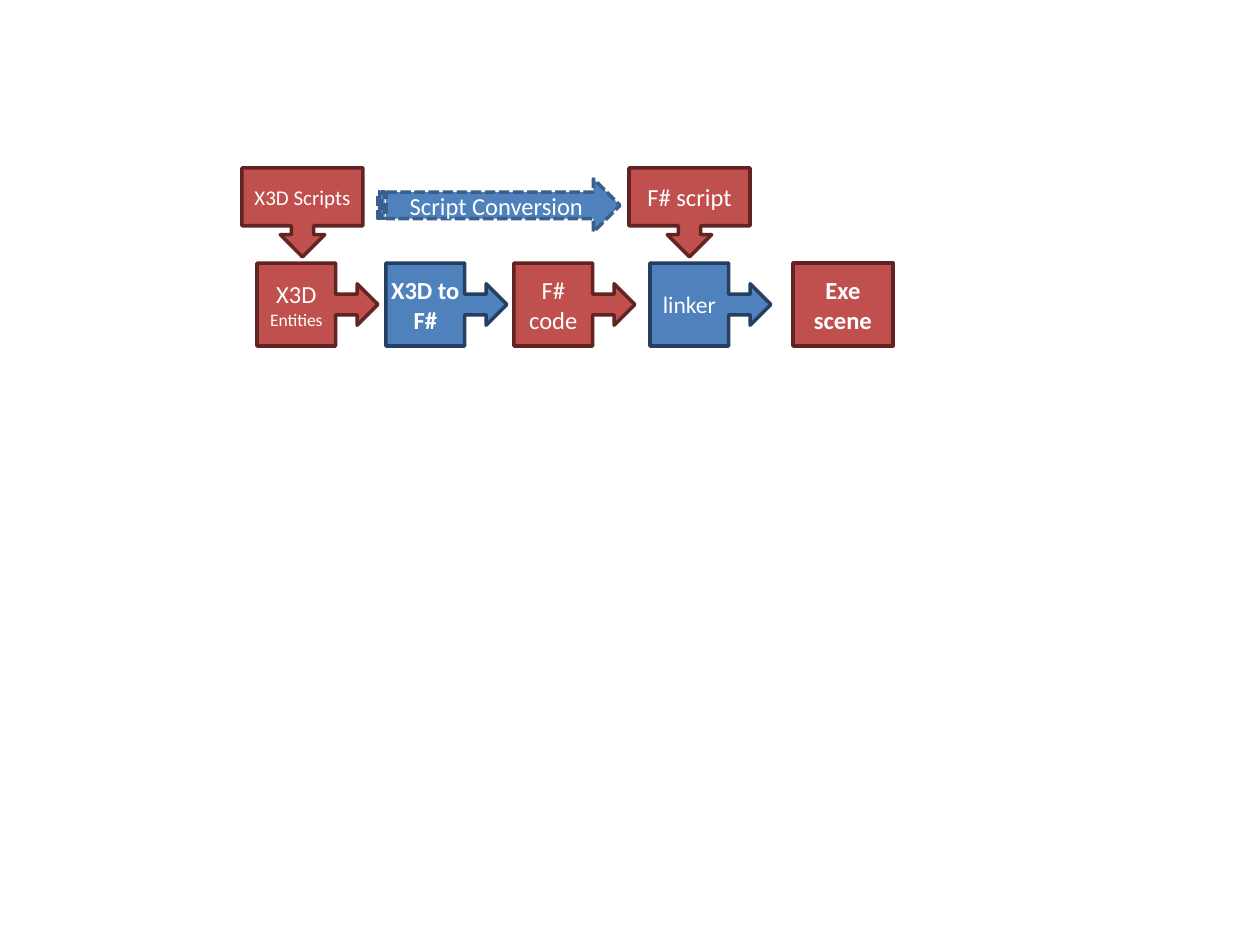
"""Build the slide showing how X3D scenes are compiled through F# to an executable."""
from dataclasses import dataclass

from pptx import Presentation
from pptx import util as u
from pptx.dml.color import RGBColor
from pptx.enum import dml, shapes, text

PX = u.Inches(1) // 126
SHAPE = shapes.MSO_SHAPE


@dataclass(frozen=True)
class Theme:
    font: str = "Calibri"
    text: str = "FFFFFF"
    data: tuple = ("C0504D", "622423")
    tool: tuple = ("4F81BD", "243F60")
    conversion: tuple = ("4F81BD", "3A5F8C")
    large: float = 14
    linker: float = 13.5
    medium: float = 12
    small: float = 10
    outline: float = 2


THEME = Theme()
CALLOUT_WIDTH = 121
STAGE_TOP, STAGE_HEIGHT = 263, 83
SCRIPT_TOP, SCRIPT_HEIGHT = 168, 89

# left, paragraphs of (wording, size) runs, colours, bold
STAGES = [
    (257, [[("X3D ", THEME.large), ("Entities", THEME.small)]], THEME.data, False),
    (386, [[("X3D to F#", THEME.large)]], THEME.tool, True),
    (514, [[("F# code", THEME.large)]], THEME.data, False),
    (650, [[("linker", THEME.linker)]], THEME.tool, False),
]
SCRIPTS = [
    (242, [[("X3D Scripts", THEME.medium)]]),
    (629, [[("F# script", THEME.large)]]),
]
RESULT = [[("Exe", THEME.large)], [("scene", THEME.large)]]
CONVERSION = [[("Script Conversion", THEME.large)]]


def add_block(diagram, kind, box, paragraphs, colours, bold=False):
    shape = diagram.shapes.add_shape(kind, *(value * PX for value in box))
    shape.shadow.inherit = False
    fill, line = colours
    shape.fill.solid()
    shape.fill.fore_color.rgb = RGBColor.from_string(fill)
    shape.line.color.rgb = RGBColor.from_string(line)
    shape.line.width = u.Pt(THEME.outline)
    frame = shape.text_frame
    frame.word_wrap = True
    frame.vertical_anchor = text.MSO_ANCHOR.MIDDLE
    frame.margin_left = frame.margin_right = 5 * PX
    frame.margin_top = frame.margin_bottom = 0
    for index, runs in enumerate(paragraphs):
        paragraph = frame.add_paragraph() if index else frame.paragraphs[0]
        paragraph.alignment = text.PP_ALIGN.CENTER
        paragraph.font.name = THEME.font
        paragraph.font.bold = bold
        paragraph.font.color.rgb = RGBColor.from_string(THEME.text)
        for wording, size in runs:
            run = paragraph.add_run()
            run.text = wording
            run.font.size = u.Pt(size)
    return shape


def main():
    presentation = Presentation()
    presentation.slide_width, presentation.slide_height = u.Inches(10), u.Inches(7.5)
    slide = presentation.slides.add_slide(presentation.slide_layouts[6])
    diagram = slide.shapes.add_group_shape()

    for left, paragraphs, colours, bold in STAGES:
        box = (left, STAGE_TOP, CALLOUT_WIDTH, STAGE_HEIGHT)
        add_block(diagram, SHAPE.RIGHT_ARROW_CALLOUT, box, paragraphs, colours, bold)
    for left, paragraphs in SCRIPTS:
        box = (left, SCRIPT_TOP, CALLOUT_WIDTH, SCRIPT_HEIGHT)
        add_block(diagram, SHAPE.DOWN_ARROW_CALLOUT, box, paragraphs, THEME.data)
    add_block(diagram, SHAPE.RECTANGLE, (793, STAGE_TOP, 100, STAGE_HEIGHT),
              RESULT, THEME.data, bold=True)
    conversion = add_block(diagram, SHAPE.STRIPED_RIGHT_ARROW, (378, 179, 242, 53),
                           CONVERSION, THEME.conversion)
    conversion.line.dash_style = dml.MSO_LINE.SQUARE_DOT

    presentation.save("out.pptx")


if __name__ == "__main__":
    main()
